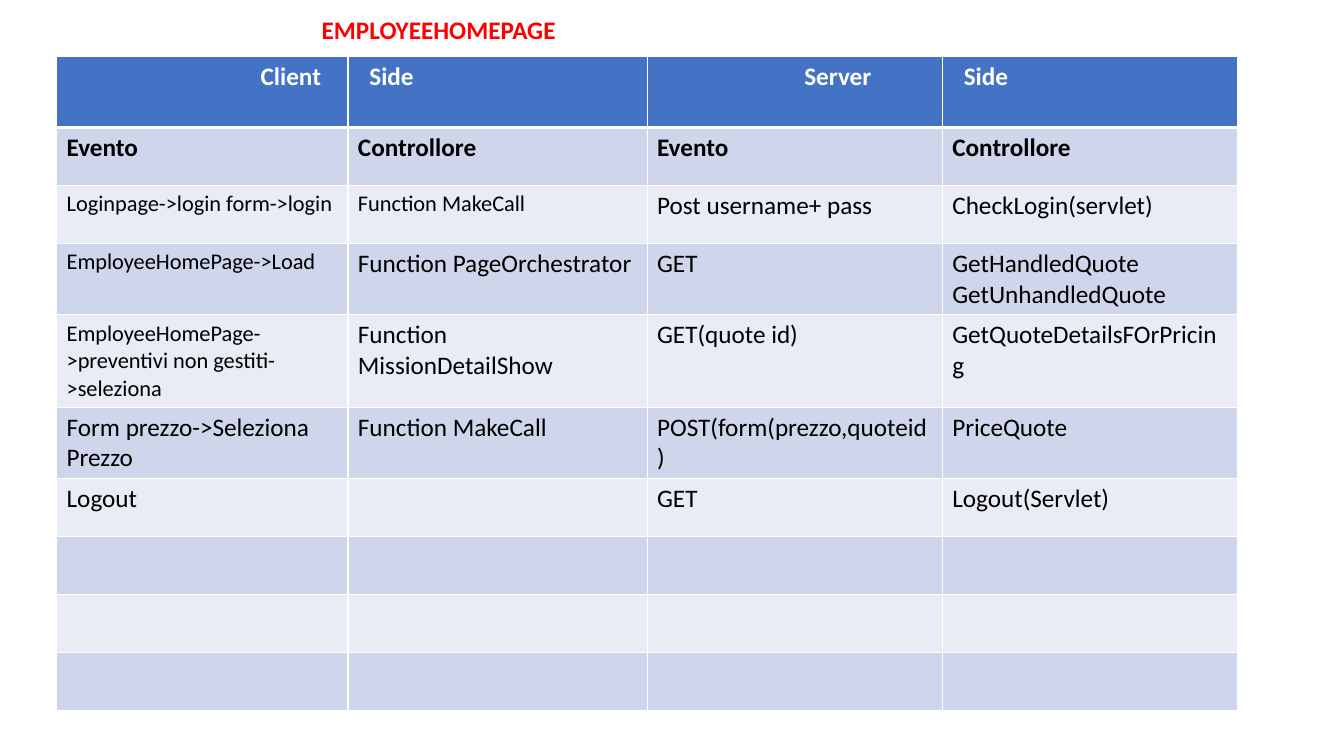
from dataclasses import dataclass

from lxml.etree import SubElement
from pptx import Presentation
from pptx.dml.color import RGBColor
from pptx.enum.text import MSO_ANCHOR as Anchor, MSO_AUTO_SIZE as AutoSize, PP_ALIGN as Align
from pptx.oxml.ns import qn
from pptx.table import _Cell as Cell
from pptx.text.text import _Paragraph as Paragraph
from pptx.util import Cm, Pt

COLORS = {
    "title": "FF0000",
    "header": "4472C4",
    "dark_band": "CFD5EA",
    "light_band": "E9EBF5",
    "white": "FFFFFF",
    "black": "000000",
}
FONT = "Calibri"
COL_WIDTHS = (7.34, 7.54, 7.44, 7.44)
HEADER_HEIGHT = 1.78
ROW_HEIGHT = 1.46


@dataclass
class Entry:
    text: str = ""
    size: int = 18
    bold: bool = False
    color: str = "black"
    align: Align = Align.LEFT
    margin_left: float = 0.25
    margin_right: float = 0.25


def header(text: str, align: Align, margin: float) -> Entry:
    return Entry(text, bold=True, color="white", align=align,
                 margin_left=margin if align == Align.LEFT else 0.25,
                 margin_right=margin if align == Align.RIGHT else 0.25)


ROWS = [
    [header("Client", Align.RIGHT, 0.68), header("Side", Align.LEFT, 0.54),
     header("Server", Align.RIGHT, 1.79), header("Side", Align.LEFT, 0.54)],
    [Entry(text, bold=True) for text in ("Evento", "Controllore") * 2],
    [Entry("Loginpage->login form->login", 16), Entry("Function MakeCall", 16),
     Entry("Post username+ pass"), Entry("CheckLogin(servlet)")],
    [Entry("EmployeeHomePage->Load", 16), Entry("Function PageOrchestrator"),
     Entry("GET"), Entry("GetHandledQuote\nGetUnhandledQuote")],
    [Entry("EmployeeHomePage->preventivi non gestiti->seleziona", 16),
     Entry("Function MissionDetailShow"), Entry("GET(quote id)"),
     Entry("GetQuoteDetailsFOrPricing")],
    [Entry("Form prezzo->Seleziona Prezzo"), Entry("Function MakeCall"),
     Entry("POST(form(prezzo,quoteid)"), Entry("PriceQuote")],
    [Entry("Logout"), Entry(), Entry("GET"), Entry("Logout(Servlet)")],
    *[[Entry()] * 4 for _ in range(3)],
]


def rgb(name: str) -> RGBColor:
    return RGBColor.from_string(COLORS[name])


def add_run(p: Paragraph, text: str, size: int, bold: bool, color: str) -> None:
    r = p.add_run()
    r.text = text
    r.font.name = FONT
    r.font.size = Pt(size)
    r.font.bold = bold
    r.font.color.rgb = rgb(color)


def set_borders(cell: Cell, top: int, bottom: int) -> None:
    tc_pr = cell._tc.get_or_add_tcPr()
    for side, width in (("L", 1), ("R", 1), ("T", top), ("B", bottom)):
        ln = SubElement(tc_pr, qn(f"a:ln{side}"), w=str(Pt(width)))
        fill = SubElement(ln, qn("a:solidFill"))
        SubElement(fill, qn("a:srgbClr"), val=COLORS["white"])


def fill_cell(cell: Cell, entry: Entry, row: int) -> None:
    set_borders(cell, 3 if row == 1 else 1, 3 if row == 0 else 1)
    band = "header" if row == 0 else "dark_band" if row % 2 else "light_band"
    cell.fill.solid()
    cell.fill.fore_color.rgb = rgb(band)
    cell.margin_left = Cm(entry.margin_left)
    cell.margin_right = Cm(entry.margin_right)
    tf = cell.text_frame
    for i, line in enumerate(entry.text.splitlines()):
        p = tf.add_paragraph() if i else tf.paragraphs[0]
        p.alignment = entry.align
        add_run(p, line, entry.size, entry.bold, entry.color)


def main() -> None:
    prs = Presentation()
    prs.slide_width, prs.slide_height = Cm(33.87), Cm(19.05)
    s = prs.slides.add_slide(prs.slide_layouts[5])

    title = s.shapes.title
    title.left, title.top, title.width, title.height = Cm(7.85), Cm(0.23), Cm(15.27), Cm(1.02)
    tf = title.text_frame
    tf.auto_size = AutoSize.NONE
    tf.vertical_anchor = Anchor.TOP
    p = tf.paragraphs[0]
    p.alignment = Align.LEFT
    p.line_spacing = 1.0
    add_run(p, "EMPLOYEEHOMEPAGE", 18, True, "title")

    height = HEADER_HEIGHT + ROW_HEIGHT * (len(ROWS) - 1)
    table = s.shapes.add_table(len(ROWS), len(COL_WIDTHS), Cm(1.43), Cm(1.43),
                               Cm(sum(COL_WIDTHS)), Cm(height)).table
    for column, width in zip(table.columns, COL_WIDTHS):
        column.width = Cm(width)
    for i, entries in enumerate(ROWS):
        table.rows[i].height = Cm(ROW_HEIGHT if i else HEADER_HEIGHT)
        for j, entry in enumerate(entries):
            fill_cell(table.cell(i, j), entry, i)

    prs.save("out.pptx")


if __name__ == "__main__":
    main()
